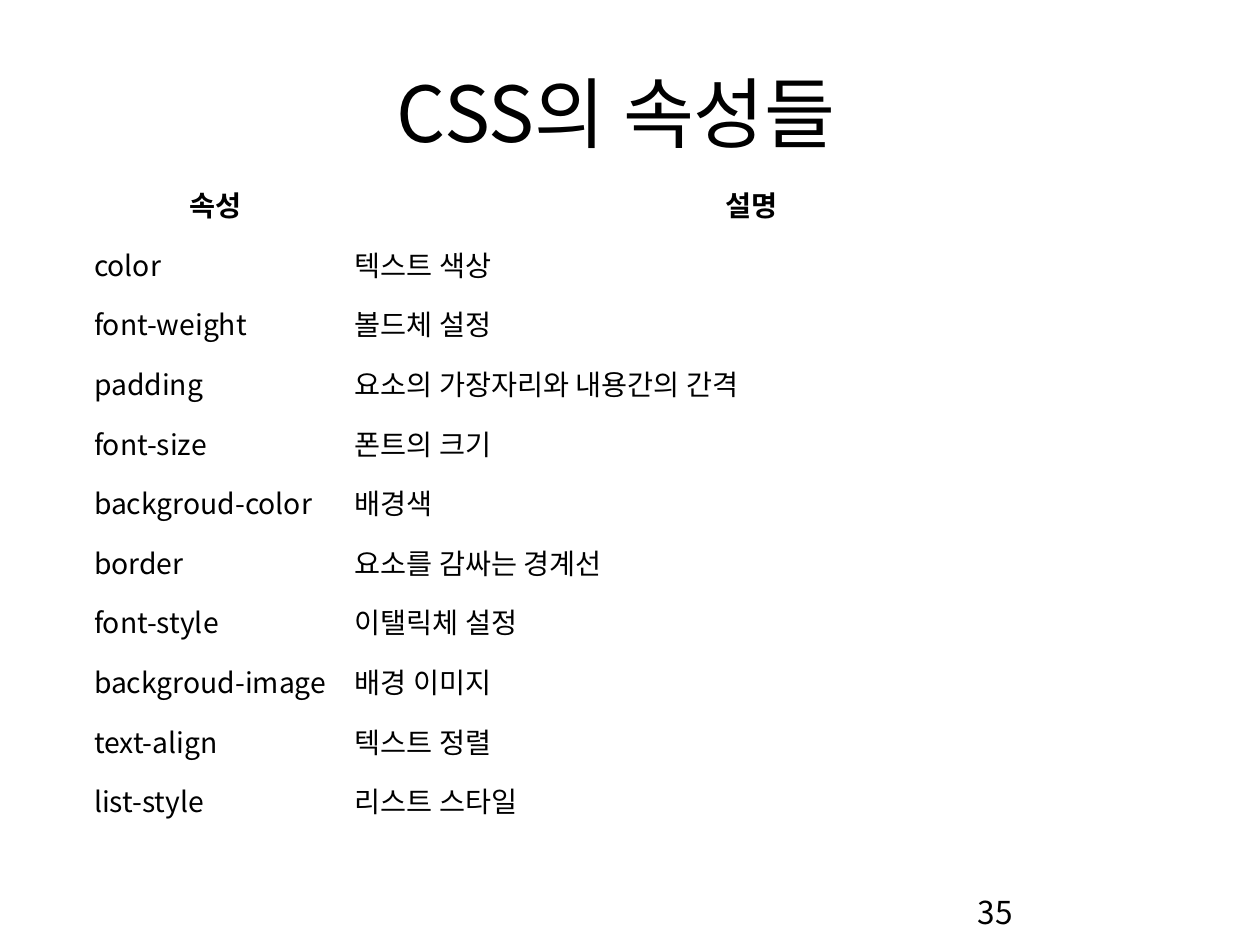
from pptx import Presentation
from pptx.dml.color import RGBColor
from pptx.enum.text import MSO_ANCHOR as Anchor, PP_ALIGN as Align
from pptx.oxml.ns import qn
from pptx.util import Inches, Pt
from lxml.etree import SubElement

FONT = "Noto Sans CJK KR"
COLORS = {"text": "000000"}
HEADER = ("속성", "설명")
PROPERTIES = [
    ("color", "텍스트 색상"),
    ("font-weight", "볼드체 설정"),
    ("padding", "요소의 가장자리와 내용간의 간격"),
    ("font-size", "폰트의 크기"),
    ("backgroud-color", "배경색"),
    ("border", "요소를 감싸는 경계선"),
    ("font-style", "이탤릭체 설정"),
    ("backgroud-image", "배경 이미지"),
    ("text-align", "텍스트 정렬"),
    ("list-style", "리스트 스타일"),
]


def write(frame, text, size, align, bold=False):
    paragraph = frame.paragraphs[0]
    paragraph.text = text
    paragraph.alignment = align
    font = paragraph.font
    font.size = Pt(size)
    font.bold = bold
    font.name = FONT
    font.color.rgb = RGBColor.from_string(COLORS["text"])
    properties = paragraph._p.pPr.find(qn("a:defRPr"))
    SubElement(properties, qn("a:ea")).set("typeface", FONT)


def add_text(slide, text, box, size, align, anchor):
    shape = slide.shapes.add_textbox(*map(Inches, box))
    frame = shape.text_frame
    frame.word_wrap = True
    frame.vertical_anchor = anchor
    write(frame, text, size, align)


def add_property_table(slide):
    rows = [HEADER, *PROPERTIES]
    shape = slide.shapes.add_table(
        len(rows), len(HEADER), Inches(0.88), Inches(1.8), Inches(11.05), Inches(6.76)
    )
    table = shape.table
    table.first_row = False
    table.horz_banding = False
    for column, width in zip(table.columns, (2.69, 8.36)):
        column.width = Inches(width)
    for row_index, row in enumerate(rows):
        is_header = row_index == 0
        for column_index, text in enumerate(row):
            cell = table.cell(row_index, column_index)
            cell.fill.background()
            cell.vertical_anchor = Anchor.MIDDLE
            cell.margin_left = cell.margin_right = Inches(0.09)
            align = Align.CENTER if is_header else Align.JUSTIFY
            write(cell.text_frame, text, 21, align, is_header)


def main():
    presentation = Presentation()
    presentation.slide_width = Inches(12.99)
    presentation.slide_height = Inches(9.74)
    slide = presentation.slides.add_slide(presentation.slide_layouts[6])
    add_text(slide, "CSS의 속성들", (1.05, 0.61, 10.61, 1.08), 57.2, Align.CENTER, Anchor.MIDDLE)
    add_property_table(slide)
    add_text(slide, "35", (9.98, 9.15, 2.68, 0.6), 23.4, Align.LEFT, Anchor.TOP)
    presentation.save("out.pptx")


if __name__ == "__main__":
    main()
